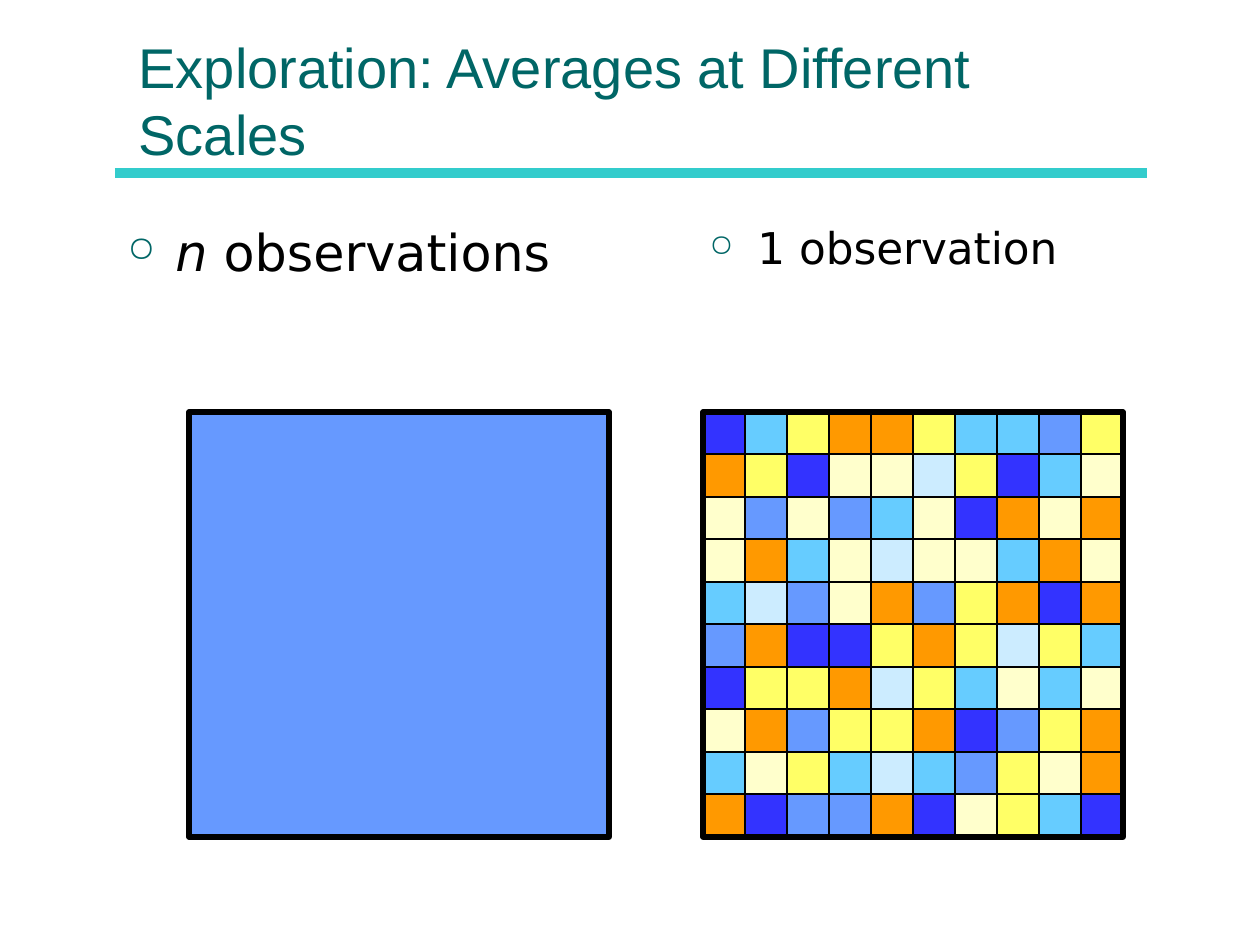
import pptx
import pptx.util
import pptx.dml.color
import pptx.enum.shapes
import pptx.enum.text
import pptx.oxml
import pptx.oxml.ns

PX = 914400 / 126
COLORS = {
    "B": "3333FF", "M": "6699FF", "S": "66CCFF", "P": "CCECFF",
    "C": "FFFFCC", "Y": "FFFF66", "O": "FF9900",
}
ROWS = [
    "BSYOOYSSMY",
    "OYBCCPYBSC",
    "CMCMSCBOCO",
    "COSCPCCSOC",
    "SPMCOMYOBO",
    "MOBBYOYPYS",
    "BYYOPYSCSC",
    "COMYYOBMYO",
    "SCYSPSMYCO",
    "OBMMOBCYSB",
]


def px(n):
    return pptx.util.Emu(round(n * PX))


def rgb(color):
    return pptx.dml.color.RGBColor.from_string(color)


def add_element(parent, tag, **attrs):
    e = pptx.oxml.parse_xml(f"<a:{tag} {pptx.oxml.ns.nsdecls('a')}/>")
    for name, value in attrs.items():
        e.set(name, str(value))
    parent.append(e)
    return e


def add_text(p, text, size=32, font="DejaVu Sans", color="000000", italic=False):
    r = p.add_run()
    r.text = text
    r.font.size = pptx.util.Pt(size)
    r.font.name = font
    r.font.color.rgb = rgb(color)
    r.font.italic = italic


def add_rect(s, x, y, w, h, fill=None, line=0.75):
    sp = s.shapes.add_shape(
        pptx.enum.shapes.MSO_SHAPE.RECTANGLE, px(x), px(y), px(w), px(h))
    sp.shadow.inherit = False
    if fill:
        sp.fill.solid()
        sp.fill.fore_color.rgb = rgb(fill)
    else:
        sp.fill.background()
    sp.line.color.rgb = rgb("000000")
    sp.line.width = pptx.util.Pt(line)


def add_title(s, x, y, w, h, text):
    sp = s.shapes.title
    sp.left, sp.top, sp.width, sp.height = px(x), px(y), px(w), px(h)
    tf = sp.text_frame
    tf.word_wrap = True
    tf.auto_size = pptx.enum.text.MSO_AUTO_SIZE.NONE
    tf.vertical_anchor = pptx.enum.text.MSO_ANCHOR.BOTTOM
    p = tf.paragraphs[0]
    p.alignment = pptx.enum.text.PP_ALIGN.LEFT
    add_text(p, text, font="Arial", color="006666")


def add_rule(s, x, y, w):
    cxn = s.shapes.add_connector(
        pptx.enum.shapes.MSO_CONNECTOR.STRAIGHT, px(x), px(y), px(x + w), px(y))
    cxn.line.color.rgb = rgb("33CCCC")
    cxn.line.width = pptx.util.Pt(6)
    add_element(cxn._element.spPr, "effectLst")


def add_bullet(s, x, y, w, h, runs, size):
    tf = s.shapes.add_textbox(px(x), px(y), px(w), px(h)).text_frame
    tf.word_wrap = True
    p = tf.paragraphs[0]
    pPr = p._p.get_or_add_pPr()
    pPr.set("marL", str(px(48)))
    pPr.set("indent", str(px(-48)))
    add_element(add_element(pPr, "buClr"), "srgbClr", val="006666")
    add_element(pPr, "buSzPct", val=70000)
    add_element(pPr, "buChar", char="○")
    for text, italic in runs:
        add_text(p, text, size=size, italic=italic)


def add_grid(s, x, y, w, h):
    pitch_x, pitch_y = w / len(ROWS[0]), h / len(ROWS)
    for i, row in enumerate(ROWS):
        for j, key in enumerate(row):
            add_rect(s, x + j * pitch_x, y + i * pitch_y, 42, 42, COLORS[key])
    add_rect(s, x, y, w, h, line=3)


def main():
    prs = pptx.Presentation()
    prs.slide_width, prs.slide_height = px(1260), px(945)
    s = prs.slides.add_slide(prs.slide_layouts[5])
    add_rule(s, 115, 173, 1032)
    add_title(s, 126, 15, 1008, 158, "Exploration: Averages at Different Scales")
    add_bullet(s, 115, 215, 1032, 567, [("n", True), (" observations", False)], 29)
    add_bullet(s, 697, 215, 563, 567, [("1 observation", False)], 25)
    add_rect(s, 189, 412, 420, 425, COLORS["M"], line=3)
    add_grid(s, 703, 412, 420, 425)
    prs.save("out.pptx")


if __name__ == "__main__":
    main()
